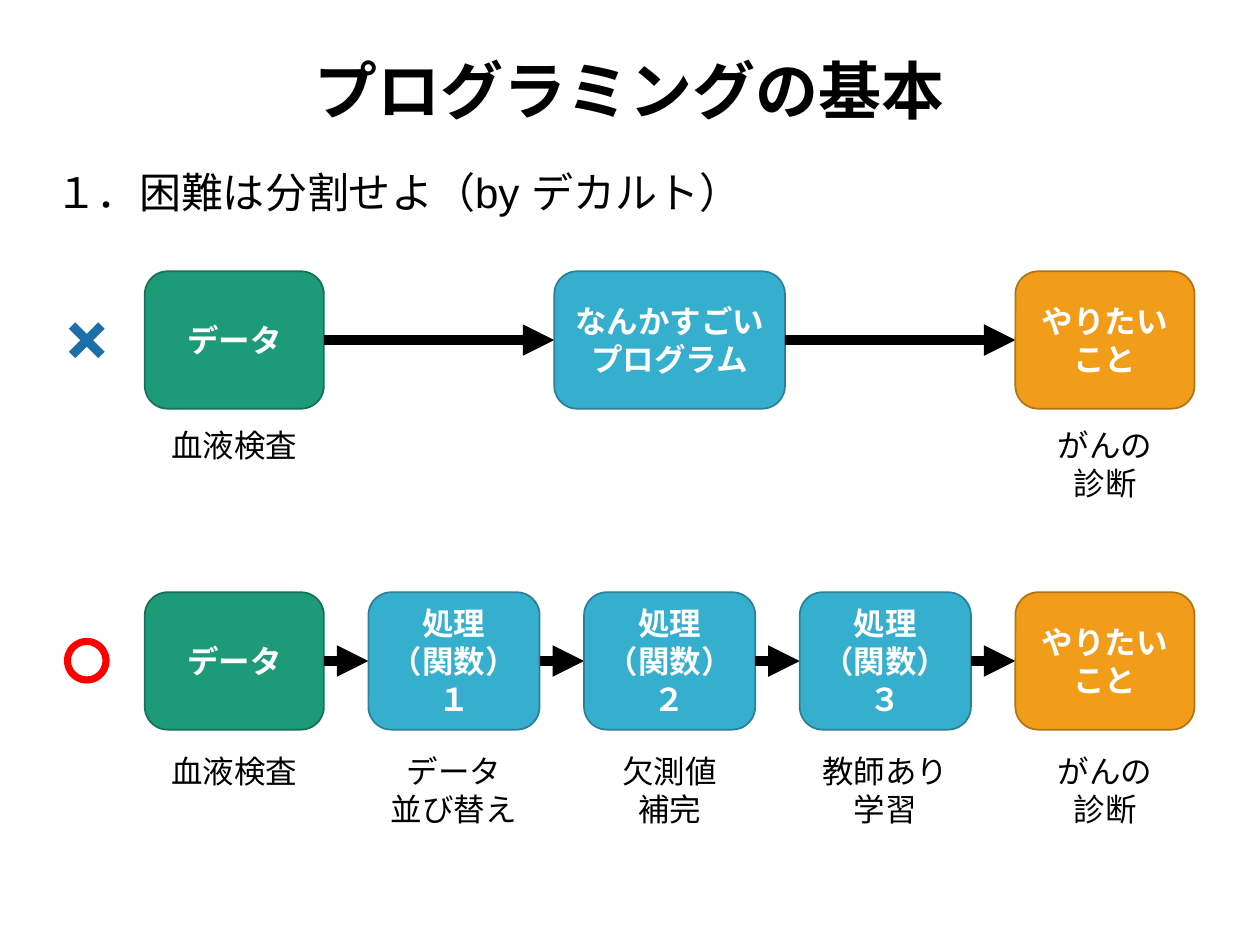
from lxml.etree import SubElement
from pptx import Presentation
from pptx.dml.color import RGBColor
from pptx.enum.shapes import MSO_CONNECTOR, MSO_SHAPE
from pptx.enum.text import MSO_ANCHOR, PP_ALIGN
from pptx.oxml.ns import qn
from pptx.util import Cm, Pt

COLORS = {
    "black": "000000",
    "white": "FFFFFF",
    "data": "1D9A78",
    "data_edge": "157259",
    "process": "36AFCE",
    "process_edge": "288198",
    "goal": "F19D19",
    "goal_edge": "B27412",
    "good": "FF0000",
    "bad": "1D6FA9",
}
BOX_HEIGHT = 2.77
END_WIDTH = 3.61
CHARACTER_WIDTH = 0.635


def color(name):
    return RGBColor.from_string(COLORS[name])


def write(shape, lines, size, ink="black", bold=False, font="Quicksand",
          align=PP_ALIGN.CENTER, anchor=MSO_ANCHOR.TOP, wrap=True):
    frame = shape.text_frame
    frame.word_wrap = wrap
    frame.vertical_anchor = anchor
    for index, line in enumerate(lines):
        para = frame.add_paragraph() if index else frame.paragraphs[0]
        para.alignment = align
        span = para.add_run()
        span.text = line
        span.font.name = font
        span.font.size = Pt(size)
        span.font.bold = bold
        span.font.color.rgb = color(ink)
    return frame


def add_title(page, left, top, width, height):
    box = page.shapes.add_textbox(Cm(left), Cm(top), Cm(width), Cm(height))
    frame = write(box, ["プログラミングの基本"], 36, bold=True, anchor=MSO_ANCHOR.MIDDLE)
    frame.paragraphs[0].line_spacing = 0.9


def add_heading(page, left, top, width, height):
    box = page.shapes.add_textbox(Cm(left), Cm(top), Cm(width), Cm(height))
    write(box, ["１．困難は分割せよ（by デカルト）"], 24, font="Arial", align=PP_ALIGN.LEFT)


def add_mark(page, center_x, center_y, size, kind, adjustment, fill):
    mark = page.shapes.add_shape(kind, Cm(center_x - size / 2), Cm(center_y - size / 2),
                                 Cm(size), Cm(size))
    mark.adjustments[0] = adjustment
    mark.shadow.inherit = False
    mark.fill.solid()
    mark.fill.fore_color.rgb = color(fill)
    mark.line.fill.background()


def add_step(page, left, top, width, role, lines):
    step = page.shapes.add_shape(MSO_SHAPE.ROUNDED_RECTANGLE, Cm(left), Cm(top),
                                 Cm(width), Cm(BOX_HEIGHT))
    step.shadow.inherit = False
    step.fill.solid()
    step.fill.fore_color.rgb = color(role)
    step.line.color.rgb = color(role + "_edge")
    step.line.width = Pt(1)
    write(step, lines, 18, "white", bold=True, anchor=MSO_ANCHOR.MIDDLE)


def add_caption(page, center, top, lines):
    width = max(map(len, lines)) * CHARACTER_WIDTH + 0.51
    height = len(lines) * 0.78 + 0.25
    box = page.shapes.add_textbox(Cm(center - width / 2), Cm(top), Cm(width), Cm(height))
    write(box, lines, 18, wrap=False)


def add_arrow(page, start, end, level):
    arrow = page.shapes.add_connector(MSO_CONNECTOR.STRAIGHT, Cm(start), Cm(level),
                                      Cm(end), Cm(level))
    arrow.line.color.rgb = color("black")
    arrow.line.width = Pt(6)
    SubElement(arrow.line._get_or_add_ln(), qn("a:tailEnd"), type="triangle")
    SubElement(arrow._element.spPr, qn("a:effectLst"))


def add_flow(page, left, top, width, caption_offset, process_width, processes):
    steps = [
        ("data", END_WIDTH, ["データ"], ["血液検査"]),
        *[("process", process_width, lines, caption) for lines, caption in processes],
        ("goal", END_WIDTH, ["やりたいこと"], ["がんの", "診断"]),
    ]
    gap = (width - sum(step[1] for step in steps)) / (len(steps) - 1)
    for index, (role, step_width, lines, caption) in enumerate(steps):
        if index:
            add_arrow(page, left - gap, left, top + BOX_HEIGHT / 2)
        add_step(page, left, top, step_width, role, lines)
        if caption:
            add_caption(page, left + step_width / 2, top + caption_offset, caption)
        left += step_width + gap


def main():
    deck = Presentation()
    deck.slide_width, deck.slide_height = Cm(25.4), Cm(19.05)
    page = deck.slides.add_slide(deck.slide_layouts[6])

    add_title(page, 1.75, 0.05, 21.9, 3.68)
    add_heading(page, 0.86, 3.23, 14.63, 1.27)

    add_flow(page, 2.92, 5.47, 21.16, 3, 4.65, [(["なんかすごい", "プログラム"], [])])
    add_mark(page, 1.75, 6.86, 1.14, MSO_SHAPE.MATH_MULTIPLY, 0.16, "bad")

    captions = [["データ", "並び替え"], ["欠測値", "補完"], ["教師あり", "学習"]]
    processes = [(["処理", "（関数）", number], caption)
                 for number, caption in zip("１２３", captions)]
    add_flow(page, 2.92, 11.94, 21.16, 3.1, 3.45, processes)
    add_mark(page, 1.75, 13.32, 0.92, MSO_SHAPE.DONUT, 0.155, "good")

    deck.save("out.pptx")


if __name__ == "__main__":
    main()
